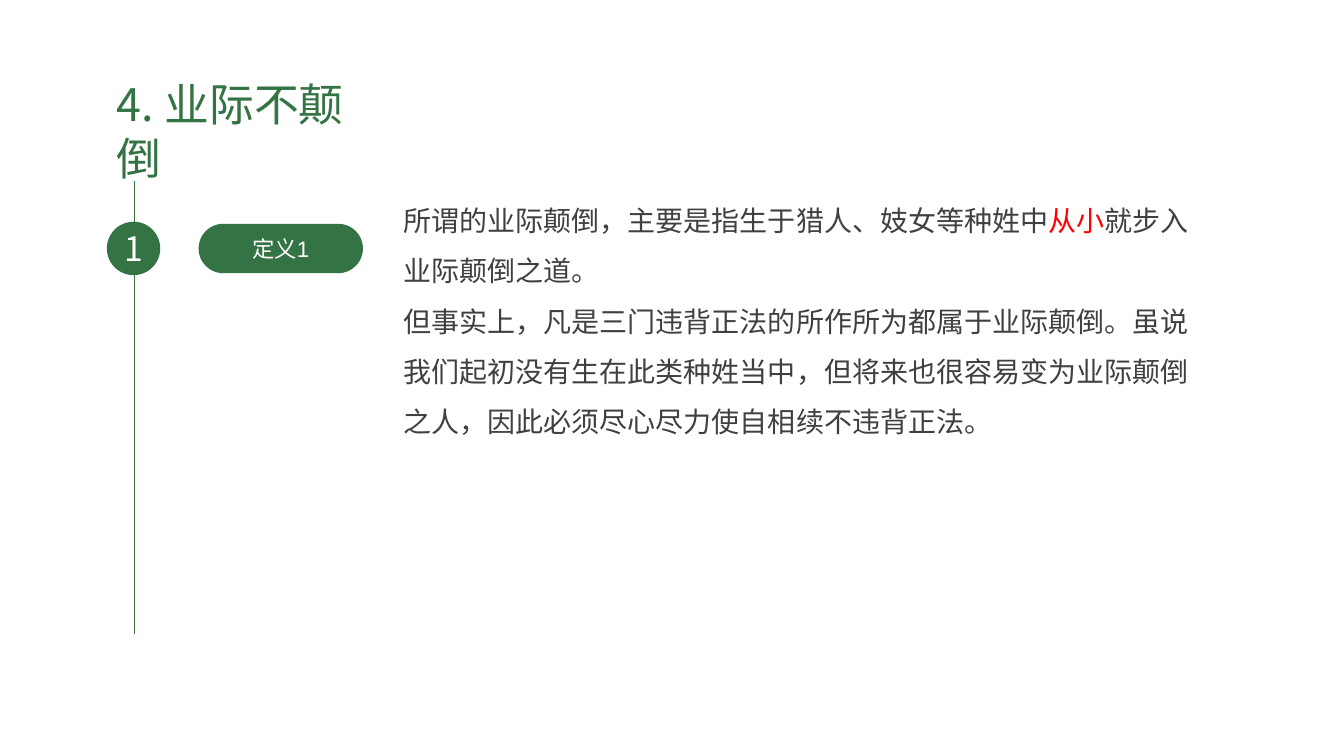
"""Build the slide on the fourth topic, with one numbered definition."""
from dataclasses import dataclass

from lxml import etree
from pptx import Presentation
from pptx import util as u
from pptx.dml.color import RGBColor
from pptx.enum import shapes, text
from pptx.oxml.ns import qn

PX = 9144


@dataclass(frozen=True)
class Theme:
    green: str = "347343"
    white: str = "FFFFFF"
    ink: str = "404040"
    accent: str = "FF0000"
    latin: str = "Arial"
    cjk: str = "Noto Sans CJK SC"
    title_pt: int = 32
    number_pt: int = 24
    label_pt: int = 16
    body_pt: int = 20
    line_pt: float = 0.5


@dataclass(frozen=True)
class Box:
    x: int
    y: int
    w: int
    h: int


@dataclass(frozen=True)
class Badge:
    label: str
    kind: shapes.MSO_SHAPE
    box: Box
    size: int
    font: str


THEME = Theme()
TITLE = "4. 业际不颠倒"
TITLE_BOX = Box(106, 71, 280, 64)
BODY_BOX = Box(390, 180, 813, 262)
AXIS_X, AXIS_TOP, AXIS_BOTTOM = 133, 180, 629

BADGES = (
    Badge("1", shapes.MSO_SHAPE.OVAL, Box(106, 220, 53, 53),
          THEME.number_pt, THEME.cjk),
    Badge("定义1", shapes.MSO_SHAPE.ROUNDED_RECTANGLE, Box(197, 222, 163, 49),
          THEME.label_pt, THEME.latin),
)

BODY = (
    (("所谓的业际颠倒，主要是指生于猎人、妓女等种姓中", THEME.ink),
     ("从小", THEME.accent),
     ("就步入业际颠倒之道。", THEME.ink)),
    (("但事实上，凡是三门违背正法的所作所为都属于业际颠倒。"
      "虽说我们起初没有生在此类种姓当中，但将来也很容易变为业际颠倒之人，"
      "因此必须尽心尽力使自相续不违背正法。", THEME.ink),),
)


def px(n: int) -> u.Emu:
    """Turn px into EMU."""
    return u.Emu(n * PX)


def place(sp, box: Box) -> None:
    """Move and size a shape."""
    sp.left, sp.top = px(box.x), px(box.y)
    sp.width, sp.height = px(box.w), px(box.h)


def style(r, size: int, color: str, font: str) -> None:
    """Format a run, with one font for Chinese glyphs throughout."""
    r.font.size = u.Pt(size)
    r.font.color.rgb = RGBColor.from_string(color)
    r.font.name = font
    ea = etree.SubElement(r._r.get_or_add_rPr(), qn("a:ea"))
    ea.set("typeface", THEME.cjk)


def draw_title(s) -> None:
    """Fill the title placeholder."""
    sp = s.shapes.title
    place(sp, TITLE_BOX)
    tf = sp.text_frame
    tf.text = TITLE
    tf.word_wrap = True
    tf.auto_size = text.MSO_AUTO_SIZE.NONE
    tf.vertical_anchor = text.MSO_ANCHOR.TOP
    p = tf.paragraphs[0]
    p.alignment = text.PP_ALIGN.LEFT
    style(p.runs[0], THEME.title_pt, THEME.green, THEME.cjk)


def draw_axis(s) -> None:
    """Draw the vertical line behind the number."""
    line = s.shapes.add_connector(
        shapes.MSO_CONNECTOR.STRAIGHT,
        px(AXIS_X), px(AXIS_TOP), px(AXIS_X), px(AXIS_BOTTOM))
    line.line.color.rgb = RGBColor.from_string(THEME.green)
    line.line.width = u.Pt(THEME.line_pt)
    etree.SubElement(line._element.spPr, qn("a:effectLst"))


def draw_badge(s, badge: Badge) -> None:
    """Draw a green shape with a centred label."""
    b = badge.box
    sp = s.shapes.add_shape(badge.kind, px(b.x), px(b.y), px(b.w), px(b.h))
    if len(sp.adjustments):
        sp.adjustments[0] = 0.5
    sp.shadow.inherit = False
    sp.fill.solid()
    sp.fill.fore_color.rgb = RGBColor.from_string(THEME.green)
    sp.line.fill.background()
    tf = sp.text_frame
    tf.text = badge.label
    tf.vertical_anchor = text.MSO_ANCHOR.MIDDLE
    p = tf.paragraphs[0]
    p.alignment = text.PP_ALIGN.CENTER
    style(p.runs[0], badge.size, THEME.white, badge.font)


def draw_body(s) -> None:
    """Fill the body placeholder with unbulleted paragraphs."""
    sp = s.placeholders[1]
    place(sp, BODY_BOX)
    tf = sp.text_frame
    tf.word_wrap = True
    tf.auto_size = text.MSO_AUTO_SIZE.NONE
    for i, parts in enumerate(BODY):
        p = tf.add_paragraph() if i else tf.paragraphs[0]
        pPr = p._p.get_or_add_pPr()
        pPr.set("marL", "0")
        pPr.set("indent", "0")
        etree.SubElement(pPr, qn("a:buNone"))
        p.line_spacing = 1.5
        p.space_before = u.Pt(0)
        for words, color in parts:
            r = p.add_run()
            r.text = words
            style(r, THEME.body_pt, color, THEME.latin)


def main() -> None:
    """Build and save the slide."""
    prs = Presentation()
    prs.slide_width, prs.slide_height = u.Inches(13.33), u.Inches(7.5)
    s = prs.slides.add_slide(prs.slide_layouts[1])
    draw_title(s)
    draw_axis(s)
    for badge in BADGES:
        draw_badge(s, badge)
    draw_body(s)
    prs.save("out.pptx")


if __name__ == "__main__":
    main()
